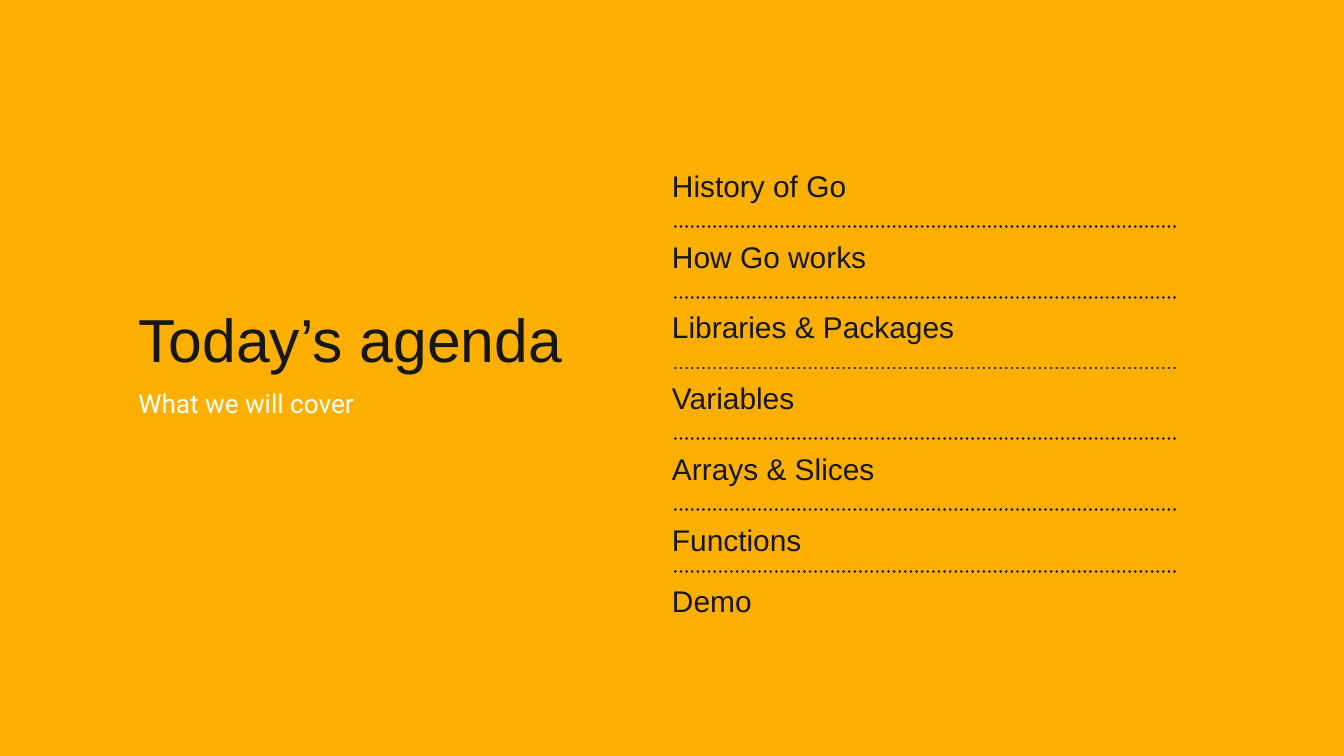
from dataclasses import dataclass

from lxml.etree import SubElement
from pptx import Presentation
from pptx.dml.color import RGBColor
from pptx.enum.dml import MSO_LINE
from pptx.enum.shapes import MSO_CONNECTOR
from pptx.enum.text import MSO_AUTO_SIZE
from pptx.oxml.ns import qn
from pptx.util import Inches, Pt


@dataclass(frozen=True)
class Theme:
    background: RGBColor = RGBColor(0xFC, 0xAF, 0x03)
    ink: RGBColor = RGBColor(0x17, 0x17, 0x17)
    white: RGBColor = RGBColor(0xFF, 0xFF, 0xFF)
    font: str = "Arial"
    subtitle_font: str = "Roboto"
    title_size: float = 65
    subtitle_size: float = 28
    topic_size: float = 32
    rule_width: float = 3


THEME = Theme()
TOPICS = [
    "History of Go",
    "How Go works",
    "Libraries & Packages",
    "Variables",
    "Arrays & Slices",
    "Functions",
    "Demo",
]
FIRST_TOP = 2.64
ROW_PITCH = 1.052
LAST_PITCH = 0.92
RULE_ABOVE_TOPIC = 0.32


def add_text(slide, text, left, top, width, height, *, size, line_spacing,
             font=THEME.font, color=THEME.ink):
    shape = slide.shapes.add_textbox(
        Inches(left), Inches(top), Inches(width), Inches(height))
    frame = shape.text_frame
    frame.word_wrap = True
    frame.auto_size = MSO_AUTO_SIZE.SHAPE_TO_FIT_TEXT
    frame.margin_left = frame.margin_right = 0
    frame.margin_top = frame.margin_bottom = 0
    paragraph = frame.paragraphs[0]
    paragraph.line_spacing = Pt(line_spacing)
    run = paragraph.add_run()
    run.text = text
    run.font.name = font
    run.font.size = Pt(size)
    run.font.color.rgb = color


def add_dotted_rule(slide, top, left=10.05, right=17.54):
    rule = slide.shapes.add_connector(
        MSO_CONNECTOR.STRAIGHT,
        Inches(left), Inches(top), Inches(right), Inches(top))
    rule.line.color.rgb = THEME.ink
    rule.line.width = Pt(THEME.rule_width)
    rule.line.dash_style = MSO_LINE.ROUND_DOT
    properties = rule._element.spPr
    properties.find(qn("a:ln")).set("cap", "rnd")
    SubElement(properties, qn("a:effectLst"))


def add_agenda(slide):
    """List the topics with a rule between neighbours; the last row is tighter."""
    last = len(TOPICS) - 1
    for row, topic in enumerate(TOPICS):
        top = FIRST_TOP + row * ROW_PITCH
        if row == last:
            top += LAST_PITCH - ROW_PITCH
        if row > 0:
            add_dotted_rule(slide, top - RULE_ABOVE_TOPIC)
        add_text(slide, topic, 10, top, 7.54, 0.4,
                 size=THEME.topic_size, line_spacing=28)


def main():
    presentation = Presentation()
    presentation.slide_width = Inches(20)
    presentation.slide_height = Inches(11.25)
    slide = presentation.slides.add_slide(presentation.slide_layouts[6])
    slide.background.fill.solid()
    slide.background.fill.fore_color.rgb = THEME.background

    add_text(slide, "Today’s agenda", 2.06, 4.49, 7.11, 1.09,
             size=THEME.title_size, line_spacing=78)
    add_text(slide, "What we will cover", 2.06, 5.68, 5.45, 0.52,
             size=THEME.subtitle_size, line_spacing=39.2,
             font=THEME.subtitle_font, color=THEME.white)
    add_agenda(slide)
    presentation.save("out.pptx")


if __name__ == "__main__":
    main()
